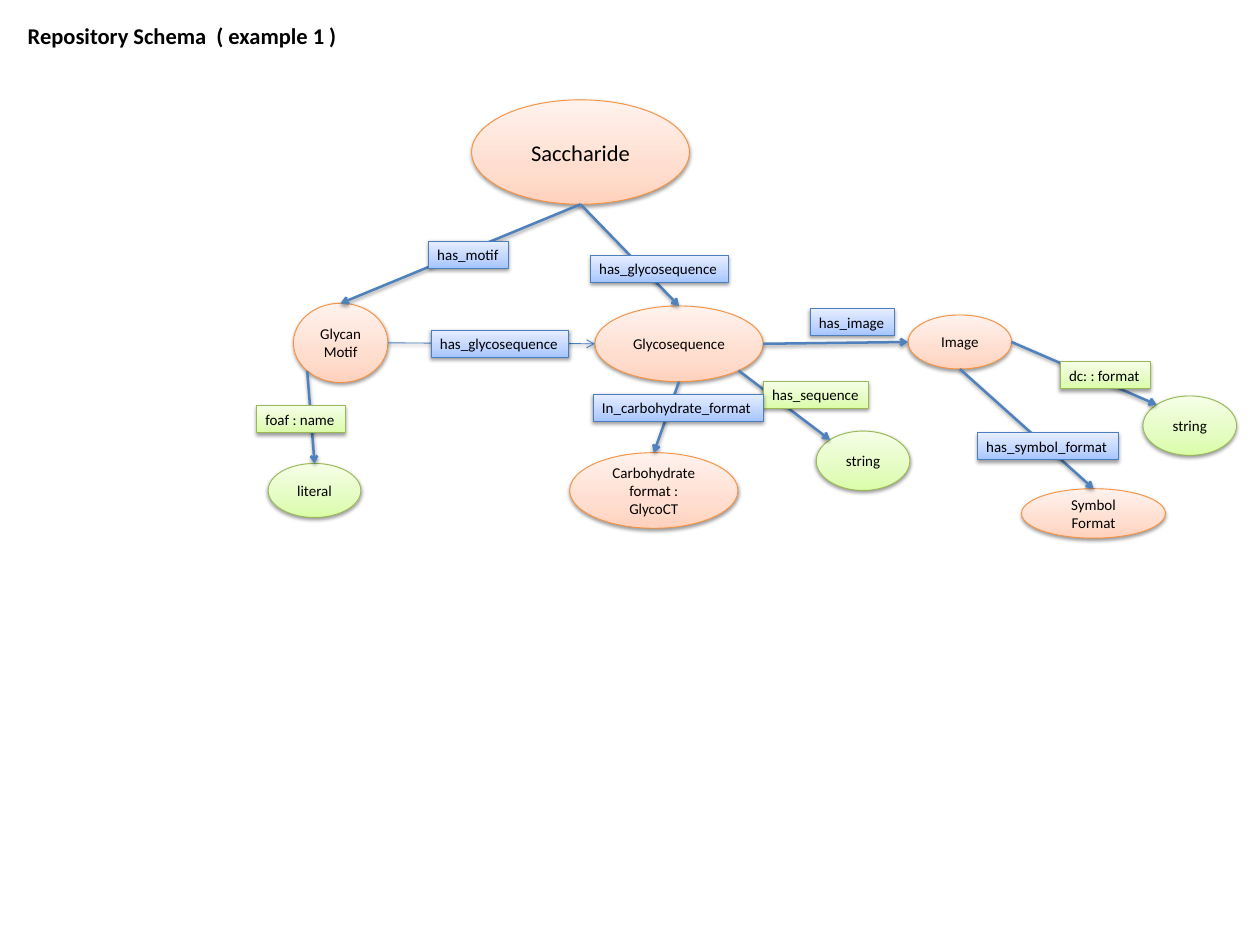
from math import cos, radians, sin

from lxml.etree import SubElement
from pptx import Presentation
from pptx.dml.color import RGBColor
from pptx.enum.shapes import MSO_CONNECTOR as Connector, MSO_SHAPE as Preset
from pptx.enum.text import MSO_ANCHOR as Anchor, MSO_AUTO_SIZE as AutoSize, PP_ALIGN as Align
from pptx.oxml.ns import qn
from pptx.util import Inches, Pt

BLACK = "000000"
EDGE_COLOR = "4F81BD"
THIN_COLOR = "4B7EBC"
# Line colour, then gradient colours from bottom to top
ORANGE = ("F69240", ("FFD2BD", "FFDED0", "FFF2ED"))
BLUE = (THIN_COLOR, ("A4C4FF", "BFD4FF", "E6EEFF"))
GREEN = ("98B955", ("DAFDA7", "E4FCC2", "F5FFE7"))
STOPS = (0, 35, 100)

# Angles of the ellipse's joining points, clockwise from the right
RIGHT, BOTTOM_RIGHT, BOTTOM, BOTTOM_LEFT, LEFT, TOP_LEFT, TOP = range(0, 315, 45)

# Key: (text, left, top, width, height, theme, inset), relative to the diagram
NODES = {
    "saccharide": ("Saccharide", 2.39, 0, 2.42, 1.16, ORANGE, 0.14),
    "motif": ("Glycan Motif", 0.41, 2.26, 1.05, 0.88, ORANGE, 0.14),
    "image": ("Image", 7.24, 2.39, 1.15, 0.6, ORANGE, 0.1),
    "literal": ("literal", 0.13, 4.04, 1.03, 0.6, GREEN, 0.1),
    "symbol": ("Symbol Format", 8.5, 4.32, 1.6, 0.55, ORANGE, 0.14),
    "image string": ("string", 9.85, 3.29, 1.04, 0.66, GREEN, 0.14),
    "sequence": ("Glycosequence", 3.76, 2.29, 1.87, 0.84, ORANGE, 0.14),
    "sequence string": ("string", 6.22, 3.68, 1.04, 0.66, GREEN, 0.14),
    "carbohydrate": ("Carbohydrate format : GlycoCT", 3.48, 3.92, 1.87, 0.84, ORANGE, 0.14),
}
EDGES = [
    ("sequence", RIGHT, "image", LEFT, EDGE_COLOR, 2),
    ("saccharide", BOTTOM, "motif", TOP, EDGE_COLOR, 2),
    ("motif", BOTTOM_LEFT, "literal", TOP, EDGE_COLOR, 2),
    ("image", BOTTOM, "symbol", TOP, EDGE_COLOR, 2),
    ("image", RIGHT, "image string", TOP_LEFT, EDGE_COLOR, 2),
    ("saccharide", BOTTOM, "sequence", TOP, EDGE_COLOR, 2),
    ("sequence", BOTTOM_RIGHT, "sequence string", TOP_LEFT, EDGE_COLOR, 2),
    ("sequence", BOTTOM, "carbohydrate", TOP, EDGE_COLOR, 2),
    ("motif", RIGHT, "sequence", LEFT, THIN_COLOR, 0.75),
]
LABELS = [
    ("has_motif", 1.91, 1.57, 0.89, BLUE),
    ("has_image", 6.15, 2.32, 0.94, BLUE),
    ("foaf : name", 0, 3.4, 0.99, GREEN),
    ("has_symbol_format", 8.01, 3.7, 1.57, BLUE),
    ("dc: : format", 8.93, 2.91, 1, GREEN),
    ("has_sequence", 5.63, 3.13, 1.17, GREEN),
    ("In_carbohydrate_format", 3.74, 3.27, 1.89, BLUE),
    ("has_glycosequence", 3.71, 1.73, 1.53, BLUE),
    ("has_glycosequence", 1.94, 2.56, 1.53, BLUE),
]


def color(value):
    return RGBColor.from_string(value)


def add_shadow(shape):
    effects = SubElement(shape._element.spPr, qn("a:effectLst"))
    shadow = SubElement(effects, qn("a:outerShdw"), blurRad=str(Pt(3.1)),
                        dist=str(Pt(1.6)), dir="5400000", rotWithShape="0")
    tint = SubElement(shadow, qn("a:srgbClr"), val=BLACK)
    SubElement(tint, qn("a:alpha"), val="38000")


def apply_theme(shape, theme):
    """Give the shape its three-stop gradient, outline and shadow."""
    line_color, gradient = theme
    shape.fill.gradient()
    shape.fill.gradient_angle = 90
    stops = shape._element.spPr.find(qn("a:gradFill")).find(qn("a:gsLst"))
    for old_stop in list(stops):
        stops.remove(old_stop)
    for position, value in zip(STOPS, gradient):
        stop = SubElement(stops, qn("a:gs"), pos=str(position * 1000))
        SubElement(stop, qn("a:srgbClr"), val=value)
    shape.line.color.rgb = color(line_color)
    shape.line.width = Pt(0.75)
    add_shadow(shape)


def write(shape, text, size=12, bold=False, align=Align.LEFT):
    shape.text_frame.text = text
    para = shape.text_frame.paragraphs[0]
    para.alignment = align
    font = para.runs[0].font
    font.name, font.size, font.bold = "Calibri", Pt(size), bold
    font.color.rgb = color(BLACK)


def add_title(page, left, top, width, height):
    box = page.shapes.add_textbox(Inches(left), Inches(top), Inches(width), Inches(height))
    box.text_frame.word_wrap = True
    write(box, "Repository Schema  ( example 1 )", size=18, bold=True)


def add_node(page, text, left, top, width, height, theme, inset):
    node = page.shapes.add_shape(Preset.OVAL, Inches(left), Inches(top),
                                 Inches(width), Inches(height))
    apply_theme(node, theme)
    frame = node.text_frame
    frame.word_wrap = True
    frame.vertical_anchor = Anchor.MIDDLE
    frame.margin_left = frame.margin_right = Inches(inset)
    frame.margin_top = frame.margin_bottom = Inches(inset / 2)
    write(node, text, size=18 if text == "Saccharide" else 12, align=Align.CENTER)
    return node


def joining_point(node, angle):
    """Return the point on the node's outline at the given angle."""
    turn = radians(angle)
    return (round(node.left + node.width * (1 + cos(turn)) / 2),
            round(node.top + node.height * (1 + sin(turn)) / 2))


def add_edge(page, start, end, line_color, width):
    edge = page.shapes.add_connector(Connector.STRAIGHT, *start, *end)
    edge.line.color.rgb = color(line_color)
    edge.line.width = Pt(width)
    SubElement(edge.line._get_or_add_ln(), qn("a:tailEnd"), type="arrow")
    add_shadow(edge)


def add_label(page, text, left, top, width, theme):
    label = page.shapes.add_textbox(Inches(left), Inches(top), Inches(width), Inches(0.3))
    apply_theme(label, theme)
    label.text_frame.word_wrap = False
    label.text_frame.auto_size = AutoSize.SHAPE_TO_FIT_TEXT
    write(label, text)


def add_schema(page, left, top):
    nodes = {
        key: add_node(page, text, left + x, top + y, *rest)
        for key, (text, x, y, *rest) in NODES.items()
    }
    for source, source_angle, target, target_angle, line_color, width in EDGES:
        add_edge(page, joining_point(nodes[source], source_angle),
                 joining_point(nodes[target], target_angle), line_color, width)
    for text, x, y, width, theme in LABELS:
        add_label(page, text, left + x, top + y, width, theme)


def main():
    deck = Presentation()
    deck.slide_width, deck.slide_height = Inches(14), Inches(10.5)
    page = deck.slides.add_slide(deck.slide_layouts[6])
    add_title(page, 0.21, 0.2, 4.55, 0.4)
    add_schema(page, 2.85, 1.11)
    deck.save("out.pptx")


if __name__ == "__main__":
    main()
